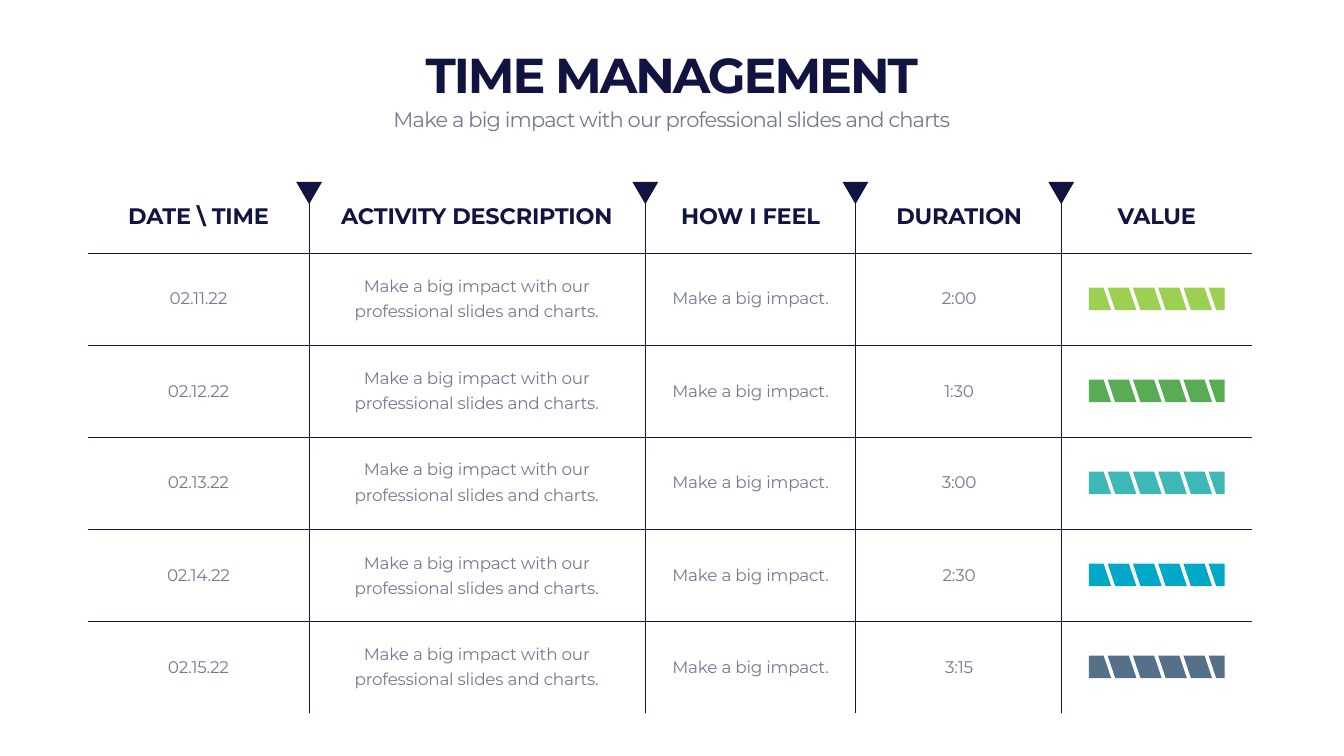
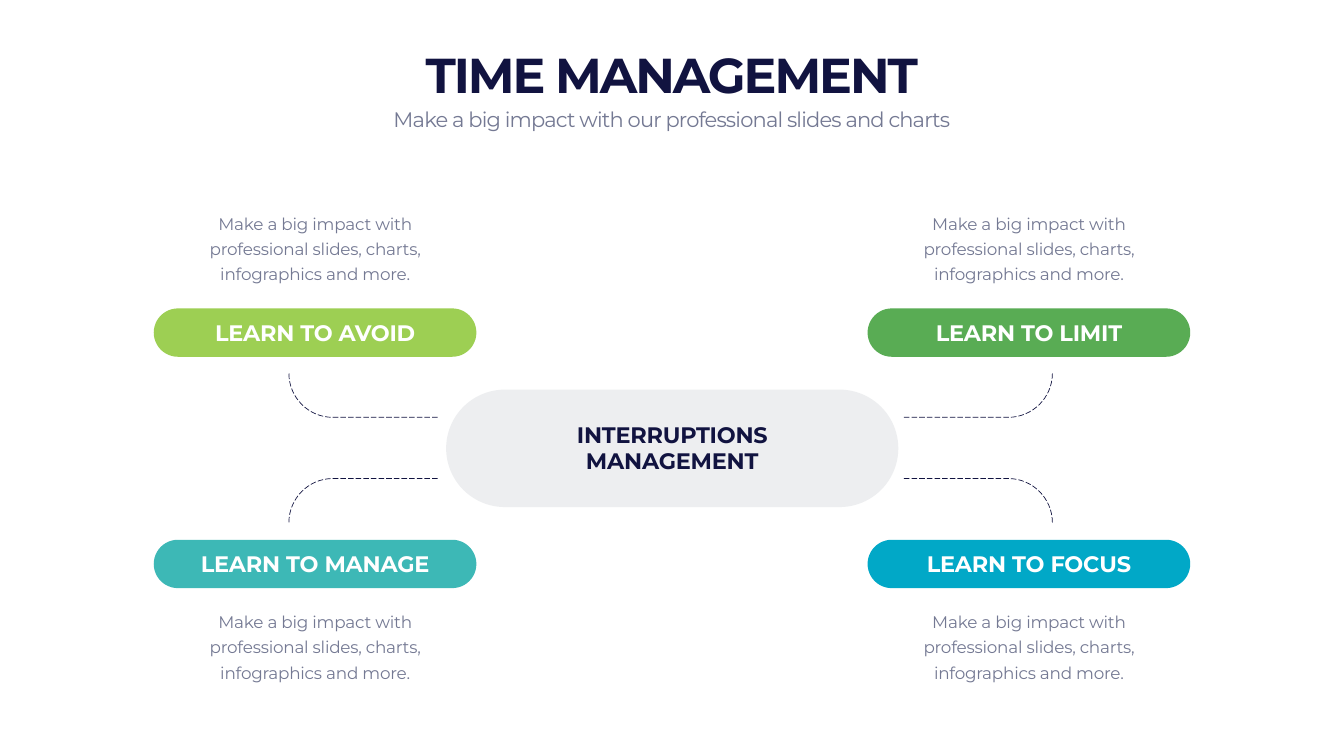
from dataclasses import dataclass

from lxml.etree import SubElement
from pptx import Presentation
from pptx.dml.color import RGBColor
from pptx.enum.dml import MSO_LINE
from pptx.enum.shapes import MSO_CONNECTOR, MSO_SHAPE
from pptx.enum.text import MSO_ANCHOR, MSO_AUTO_SIZE, PP_ALIGN
from pptx.oxml.ns import qn
from pptx.shapes.autoshape import Shape
from pptx.slide import Slide
from pptx.util import Pt

FONT = "Montserrat"
NAVY, GREY, WHITE, MIST = "111340", "747993", "FFFFFF", "C4C8CE"
LIME, GREEN, TEAL, CYAN, SLATE = "9DCF53", "59AC54", "3DB8B6", "01A8C7", "56708A"

WIDE, HIGH = 1919.52, 1080
LEFT, RIGHT = 125.3, 1788.5
TOP, FOOT = 260, 1019
RULE, PITCH = 361.4, 131.4
BAR_X, BAR_W, BAR_H, BAR_DROP = 1555.2, 193.7, 32.2, 49.6
CUT, STEP, GAP, LEAN = 21, 36.05, 5.8, 10.8
BEND = 0.55

Point = tuple[float, float]


@dataclass
class Style:
    size: float
    color: str
    bold: bool = False
    space: float = -0.3
    lead: float | None = None


@dataclass
class Column:
    x: float
    w: float
    head: str


@dataclass
class Entry:
    date: str
    time: str
    color: str
    mid: float


@dataclass
class Topic:
    title: str
    color: str
    x: float
    y: float
    note_y: float
    anchor: MSO_ANCHOR


TITLE = Style(70, NAVY, True, -2.9)
SUB = Style(30, GREY, False, -1.2)
HEAD = Style(32, NAVY, True)
LABEL = Style(32, WHITE, True)
BODY = Style(24, GREY, lead=36)

COLUMNS = [
    Column(165, 237, "DATE \\ TIME"),
    Column(477.4, 406.8, "ACTIVITY DESCRIPTION"),
    Column(929.5, 285, "HOW I FEEL"),
    Column(1251.4, 237, "DURATION"),
    Column(1533.6, 237, "VALUE"),
]
SPLITS = [441.5, 921.7, 1221.8, 1515.7]
ENTRIES = [
    Entry("02.11.22", "2:00", LIME, 422),
    Entry("02.12.22", "1:30", GREEN, 554.5),
    Entry("02.13.22", "3:00", TEAL, 684.8),
    Entry("02.14.22", "2:30", CYAN, 818),
    Entry("02.15.22", "3:15", SLATE, 948.3),
]
TOPICS = [
    Topic("LEARN TO AVOID", LIME, 219.6, 440.6, 296, MSO_ANCHOR.BOTTOM),
    Topic("LEARN TO LIMIT", GREEN, 1239.1, 440.6, 296, MSO_ANCHOR.BOTTOM),
    Topic("LEARN TO MANAGE", TEAL, 219.6, 771.1, 863.3, MSO_ANCHOR.TOP),
    Topic("LEARN TO FOCUS", CYAN, 1239.1, 771.1, 863.3, MSO_ANCHOR.TOP),
]


def tint(code: str) -> RGBColor:
    return RGBColor.from_string(code)


def paint(shape: Shape, color: str) -> None:
    shape.shadow.inherit = False
    shape.fill.solid()
    shape.fill.fore_color.rgb = tint(color)
    shape.line.fill.background()


def write(slide: Slide, text: str, x: float, y: float, w: float, h: float,
          style: Style, anchor: MSO_ANCHOR = MSO_ANCHOR.MIDDLE) -> None:
    frame = slide.shapes.add_textbox(Pt(x), Pt(y), Pt(w), Pt(h)).text_frame
    frame.word_wrap = True
    frame.auto_size = MSO_AUTO_SIZE.SHAPE_TO_FIT_TEXT
    frame.vertical_anchor = anchor
    frame.text = text
    para = frame.paragraphs[0]
    para.alignment = PP_ALIGN.CENTER
    if style.lead:
        para.line_spacing = Pt(style.lead)
    run = para.runs[0]
    run.font.name = FONT
    run.font.size = Pt(style.size)
    run.font.bold = style.bold
    run.font.color.rgb = tint(style.color)
    run._r.get_or_add_rPr().set("spc", str(round(style.space * 100)))


def rule(slide: Slide, start: Point, end: Point) -> None:
    line = slide.shapes.add_connector(
        MSO_CONNECTOR.STRAIGHT, *(Pt(v) for v in start + end))
    line.line.color.rgb = tint(NAVY)
    line.line.width = Pt(1)
    SubElement(line._element.spPr, qn("a:effectLst"))


def trace(slide: Slide, rings: list[list[Point]], close: bool = True) -> Shape:
    spots = [[(Pt(x), Pt(y)) for x, y in ring] for ring in rings]
    form = slide.shapes.build_freeform(*spots[0][0])
    form.add_line_segments(spots[0][1:], close=close)
    for ring in spots[1:]:
        form.move_to(*ring[0])
        form.add_line_segments(ring[1:], close=close)
    return form.convert_to_shape()


def meter(slide: Slide, y: float, color: str) -> None:
    cuts = [CUT + STEP * n for n in range(5)]
    lefts = [(0, 0)] + [(c + GAP, c + GAP + LEAN) for c in cuts]
    rights = [(c, c + LEAN) for c in cuts] + [(BAR_W, BAR_W)]
    low = y + BAR_H
    rings = [
        [(BAR_X + a, y), (BAR_X + b, y), (BAR_X + d, low), (BAR_X + c, low)]
        for (a, c), (b, d) in zip(lefts, rights)
    ]
    paint(trace(slide, rings), color)


def marker(slide: Slide, x: float) -> None:
    tip = [(x, TOP + 31.7), (x + 18.4, TOP), (x - 18.4, TOP)]
    paint(trace(slide, [tip]), NAVY)
    rule(slide, (x, FOOT), (x, TOP))


def pill(slide: Slide, x: float, y: float, w: float, h: float, color: str) -> Shape:
    shape = slide.shapes.add_shape(
        MSO_SHAPE.ROUNDED_RECTANGLE, Pt(x), Pt(y), Pt(w), Pt(h))
    shape.adjustments[0] = 0.5
    paint(shape, color)
    return shape


def link(slide: Slide, start: Point, turn: Point, end: Point) -> None:
    shape = trace(slide, [[start, turn, end]], close=False)
    shape.shadow.inherit = False
    shape.fill.background()
    shape.line.color.rgb = tint(NAVY)
    shape.line.width = Pt(1)
    shape.line.dash_style = MSO_LINE.LONG_DASH
    (tx, ty), (ex, ey) = turn, end
    spots = [
        (tx + BEND * (ex - tx), ty),
        (ex, ty + (1 - BEND) * (ey - ty)),
        end,
    ]
    last = shape._element.xpath(".//a:lnTo")[-1]
    route = last.getparent()
    curve = route.makeelement(qn("a:cubicBezTo"))
    for x, y in spots:
        SubElement(curve, qn("a:pt"), x=str(Pt(x) - shape.left), y=str(Pt(y) - shape.top))
    route.replace(last, curve)


def banner(slide: Slide) -> None:
    write(slide, "TIME MANAGEMENT", 119.5, 59, 1680, 92.2, TITLE, MSO_ANCHOR.BOTTOM)
    write(slide, "Make a big impact with our professional slides and charts",
          119.5, 148.3, 1680, 44, SUB, MSO_ANCHOR.TOP)


def diary(slide: Slide) -> None:
    for n in range(len(ENTRIES)):
        y = RULE + PITCH * n
        rule(slide, (LEFT, y), (RIGHT, y))
    for x in SPLITS:
        marker(slide, x)
    for n, entry in enumerate(ENTRIES):
        meter(slide, RULE + PITCH * n + BAR_DROP, entry.color)
    banner(slide)
    for col in COLUMNS:
        write(slide, col.head, col.x, 285, col.w, 46, HEAD)
    for entry in ENTRIES:
        cells = [
            (entry.date, 40.3),
            ("Make a big impact with our professional slides and charts.", 77),
            ("Make a big impact.", 40.3),
            (entry.time, 40.3),
        ]
        for col, (text, h) in zip(COLUMNS, cells):
            write(slide, text, col.x, entry.mid - h / 2, col.w, h, BODY)


def hub(slide: Slide) -> None:
    core = pill(slide, 637.2, 556.6, 645.8, 167.8, MIST)
    shade = core._element.spPr.find(qn("a:solidFill"))[0]
    SubElement(shade, qn("a:alpha"), val="30000")
    for topic in TOPICS:
        pill(slide, topic.x, topic.y, 460.8, 69.1, topic.color)
    for inner, turn, outer in [(625, 475.2, 412.6), (1291, 1440, 1503)]:
        for rail, tail in [(596.2, 533.5), (683.6, 746.5)]:
            link(slide, (inner, rail), (turn, rail), (outer, tail))
    banner(slide)
    for topic in TOPICS:
        x = topic.x + 24.2
        write(slide, topic.title, x, topic.y + 11, 412.6, 46, LABEL)
        write(slide, "Make a big impact with professional slides, charts, infographics and more.",
              x, topic.note_y, 412.6, 113, BODY, topic.anchor)
    write(slide, "INTERRUPTIONS MANAGEMENT", 753.8, 596.9, 412.6, 85, HEAD)


def main() -> None:
    deck = Presentation()
    deck.slide_width, deck.slide_height = Pt(WIDE), Pt(HIGH)
    for draw in (diary, hub):
        draw(deck.slides.add_slide(deck.slide_layouts[6]))
    deck.save("out.pptx")


if __name__ == "__main__":
    main()
